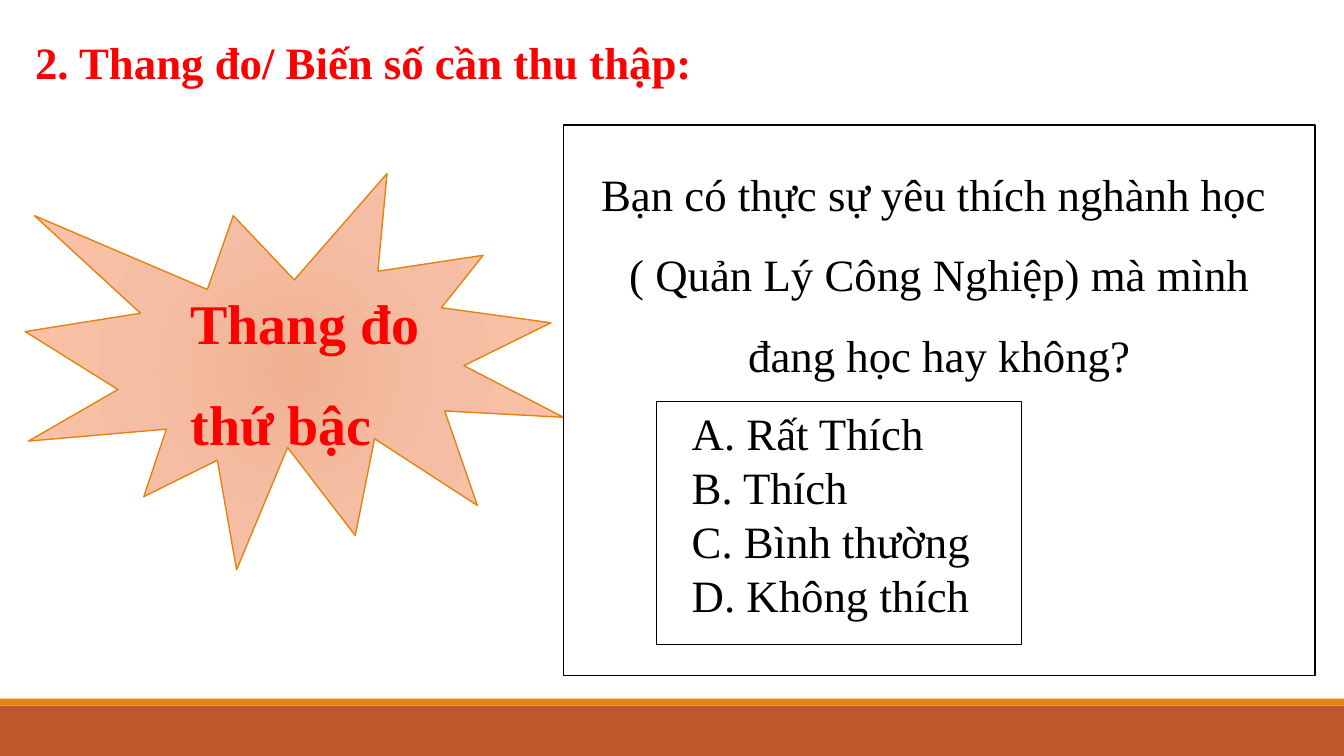
from lxml import etree
from pptx import Presentation
from pptx.dml.color import RGBColor
from pptx.enum.shapes import MSO_SHAPE as Shape
from pptx.enum.text import MSO_ANCHOR as Anchor, MSO_AUTO_SIZE as AutoSize, PP_ALIGN as Align
from pptx.oxml import parse_xml
from pptx.util import Pt

RED = RGBColor(0xFF, 0x00, 0x00)
BLACK = RGBColor(0x00, 0x00, 0x00)
WHITE = RGBColor(0xFF, 0xFF, 0xFF)
ORANGE = RGBColor(0xE4, 0x83, 0x12)
RUST = RGBColor(0xBD, 0x58, 0x2C)
BURST_STOPS = [(0, RGBColor(0xF0, 0xB1, 0x91)),
               (45, RGBColor(0xF5, 0xBE, 0xA4)),
               (100, RGBColor(0xFD, 0xC3, 0xA8))]
DRAWING_NS = "http://schemas.openxmlformats.org/drawingml/2006/main"


def add_box(kind, left, top, width, height, fill=None, line=None, line_width=1):
    box = page.shapes.add_shape(kind, Pt(left), Pt(top), Pt(width), Pt(height))
    box.shadow.inherit = False
    if fill is not None:
        box.fill.solid()
        box.fill.fore_color.rgb = fill
    if line is None:
        box.line.fill.background()
    else:
        box.line.color.rgb = line
        box.line.width = Pt(line_width)
    return box


def write(box, lines, size=32, color=BLACK, bold=False, align=Align.JUSTIFY,
          spacing=1.0, before=0, anchor=Anchor.TOP, wrap=True, indent=None):
    """Fill the box with one paragraph per line; indent is (left margin, first line)."""
    frame = box.text_frame
    frame.word_wrap = wrap
    frame.vertical_anchor = anchor
    if not wrap:
        frame.auto_size = AutoSize.SHAPE_TO_FIT_TEXT
    for number, line in enumerate(lines):
        para = frame.paragraphs[0] if number == 0 else frame.add_paragraph()
        para.alignment = align
        para.line_spacing = spacing
        para.space_before = Pt(before)
        if indent:
            properties = para._p.get_or_add_pPr()
            properties.set("marL", str(Pt(indent[0])))
            properties.set("indent", str(Pt(indent[1])))
        span = para.add_run()
        span.text = line
        span.font.name = "Times New Roman"
        span.font.size = Pt(size)
        span.font.bold = bold
        span.font.color.rgb = color


deck = Presentation()
deck.slide_width = Pt(960)
deck.slide_height = Pt(540)
page = deck.slides.add_slide(deck.slide_layouts[6])

# Footer bands
add_box(Shape.RECTANGLE, 0, 504, 960, 36, fill=RUST)
add_box(Shape.RECTANGLE, 0, 499, 960, 5, fill=ORANGE)

# Heading
heading = page.shapes.add_textbox(Pt(18), Pt(2), Pt(487.5), Pt(58.5))
write(heading, ["2. Thang đo/ Biến số cần thu thập:"], color=RED, bold=True,
      spacing=1.5, before=4, wrap=False)

# Starburst with a radial gradient
burst = add_box(Shape.EXPLOSION1, 18, 124, 384.5, 283, fill=WHITE, line=ORANGE)
gradient = parse_xml(f'<a:gradFill xmlns:a="{DRAWING_NS}" rotWithShape="1"><a:gsLst/>'
                     '<a:path path="circle"><a:fillToRect l="100000" t="100000" '
                     'r="100000" b="100000"/></a:path></a:gradFill>')
for position, color in BURST_STOPS:
    stop = etree.SubElement(gradient[0], f"{{{DRAWING_NS}}}gs", pos=str(position * 1000))
    etree.SubElement(stop, f"{{{DRAWING_NS}}}srgbClr", val=str(color))
burst_fill = burst._element.spPr.find(f"{{{DRAWING_NS}}}solidFill")
burst_fill.getparent().replace(burst_fill, gradient)

scale_name = page.shapes.add_textbox(Pt(129), Pt(178.5), Pt(189.5), Pt(144))
write(scale_name, ["Thang đo ", "thứ bậc"], size=40, color=RED, bold=True,
      spacing=1.5, wrap=False)

# Question and answers
add_box(Shape.RECTANGLE, 402.5, 89.5, 537, 393, fill=WHITE, line=BLACK, line_width=1.25)
question = add_box(Shape.RECTANGLE, 412, 95, 518, 182, fill=WHITE)
write(question, ["Bạn có thực sự yêu thích nghành học ",
                 "( Quản Lý Công Nghiệp) mà mình đang học hay không?"],
      align=Align.CENTER, spacing=1.5, anchor=Anchor.MIDDLE)
answers = add_box(Shape.RECTANGLE, 469, 286.5, 260.5, 174, fill=WHITE, line=BLACK,
                  line_width=0.5)
write(answers, ["A. Rất Thích", "B. Thích", "C. Bình thường", "D. Không thích"],
      indent=(36, -18))

deck.save("out.pptx")
